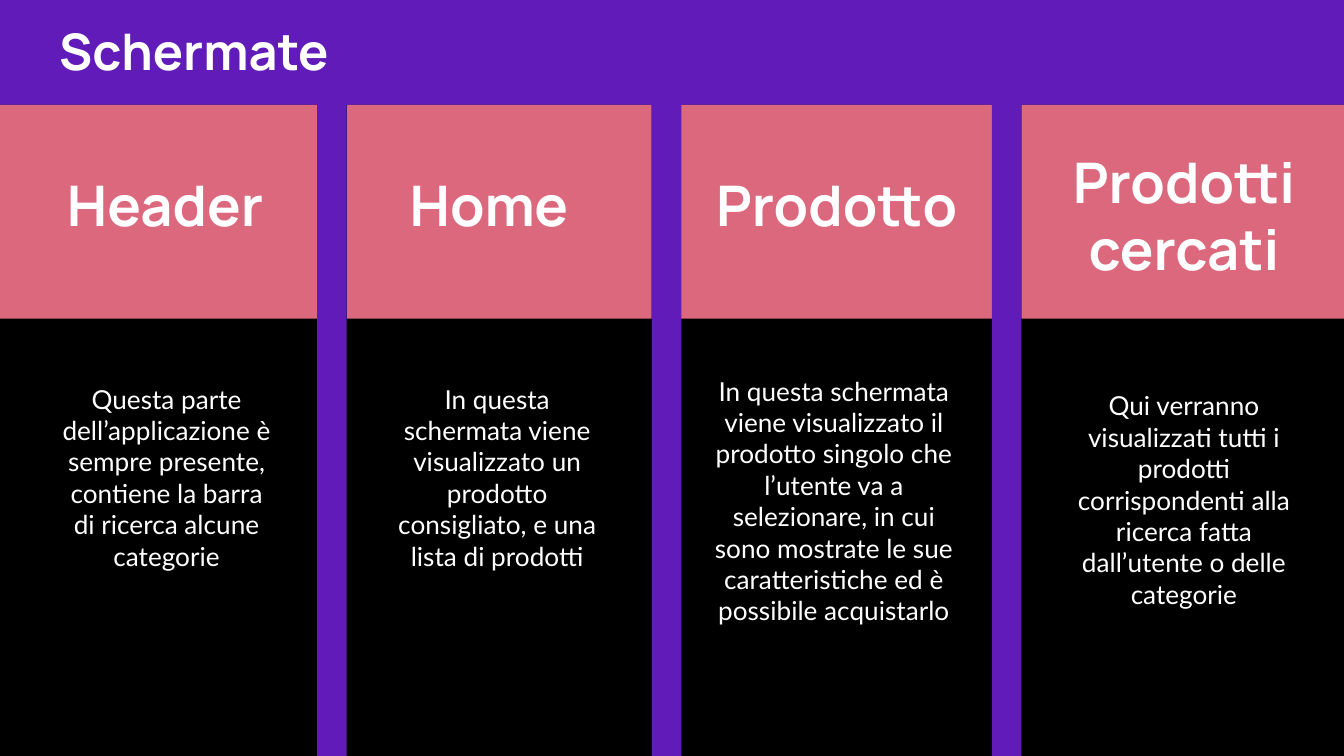
from pptx import Presentation
from pptx.dml.color import RGBColor
from pptx.enum.shapes import MSO_SHAPE as Shape
from pptx.enum.text import MSO_ANCHOR as Anchor, MSO_AUTO_SIZE as AutoSize, PP_ALIGN as Align
from pptx.util import Pt

PURPLE, PINK, BLACK, WHITE = "611BB8", "DC687D", "000000", "FFFFFF"
WIDTH, HEIGHT = 720, 405
BAND_TOP, BAND_HEIGHT = 56.2, 114.5
DIVIDER_TOP, DIVIDER_WIDTH = 45, 15.8
DIVIDERS = (169.9, 349.2, 531.4)
TITLE = {"name": "Manrope", "size": Pt(27), "bold": True}
HEADING = {"name": "Manrope", "size": Pt(30), "bold": True}
BODY = {"name": "Lato", "size": Pt(14), "bold": False}

# Each entry: band (left, width), heading, heading box, heading alignment, body, body box
COLUMNS = (
    ((0, 169.9), "Header", (28.8, 84.2, 129.6, 58.3), Align.LEFT,
     "Questa parte dell’applicazione è sempre presente, contiene la barra di ricerca "
     "alcune categorie", (24.5, 198, 129.6, 114.5)),
    ((185.8, 163.4), "Home", (212.4, 84.2, 110.2, 58.3), Align.LEFT,
     "In questa schermata viene visualizzato un prodotto consigliato, e una lista di "
     "prodotti", (201.6, 198, 129.6, 114.5)),
    ((363.6, 169.9), "Prodotto", (376.6, 84.2, 159.1, 58.3), Align.LEFT,
     "In questa schermata viene visualizzato il prodotto singolo che l’utente va a "
     "selezionare, in cui sono mostrate le sue caratteristiche ed è possibile acquistarlo",
     (370.8, 193.7, 151.9, 147.6)),
    ((547.2, 172.8), "Prodotti cercati", (563, 72, 142.6, 98.6), Align.CENTER,
     "Qui verranno visualizzati tutti i prodotti corrispondenti alla ricerca fatta "
     "dall’utente o delle categorie", (569.5, 201.6, 129.6, 131)),
)


def color(value):
    """Return the colour for a hex string."""
    return RGBColor.from_string(value)


def add_block(slide, left, top, width, height, fill):
    """Add a plain filled rectangle."""
    shape = slide.shapes.add_shape(Shape.RECTANGLE, Pt(left), Pt(top), Pt(width), Pt(height))
    shape.shadow.inherit = False
    shape.fill.solid()
    shape.fill.fore_color.rgb = color(fill)
    shape.line.fill.background()


def write_text(shape, text, font, alignment, auto_size=AutoSize.NONE):
    """Fill a text shape with one formatted paragraph."""
    frame = shape.text_frame
    frame.text = text
    settings = {"word_wrap": True, "auto_size": auto_size, "vertical_anchor": Anchor.TOP}
    settings.update({f"margin_{side}": Pt(7.2) for side in ("left", "top", "right", "bottom")})
    for name, value in settings.items():
        setattr(frame, name, value)
    paragraph = frame.paragraphs[0]
    paragraph.alignment = alignment
    run_font = paragraph.runs[0].font
    for name, value in font.items():
        setattr(run_font, name, value)
    run_font.color.rgb = color(WHITE)


def add_title(slide, text, left, top, width, height):
    """Place and format the slide title."""
    title = slide.shapes.title
    bounds = {"left": left, "top": top, "width": width, "height": height}
    for name, value in bounds.items():
        setattr(title, name, Pt(value))
    write_text(title, text, TITLE, Align.LEFT)


def add_text(slide, text, box, font, alignment, auto_size=AutoSize.NONE):
    """Add a text box."""
    shape = slide.shapes.add_textbox(*map(Pt, box))
    write_text(shape, text, font, alignment, auto_size)


def add_column(slide, band, heading, heading_box, alignment, body, body_box):
    """Add a heading band with its heading and description."""
    left, width = band
    add_block(slide, left, BAND_TOP, width, BAND_HEIGHT, PINK)
    add_text(slide, heading, heading_box, HEADING, alignment)
    add_text(slide, body, body_box, BODY, Align.CENTER, AutoSize.SHAPE_TO_FIT_TEXT)


def main():
    """Build and save the presentation."""
    presentation = Presentation()
    presentation.slide_width, presentation.slide_height = Pt(WIDTH), Pt(HEIGHT)
    slide = presentation.slides.add_slide(presentation.slide_layouts[5])
    slide.background.fill.solid()
    slide.background.fill.fore_color.rgb = color(PURPLE)
    add_title(slide, "Schermate", 24.5, 3.6, 671, 49)
    add_block(slide, 0, BAND_TOP, WIDTH, HEIGHT - BAND_TOP, BLACK)
    for column in COLUMNS:
        add_column(slide, *column)
    for left in DIVIDERS:
        add_block(slide, left, DIVIDER_TOP, DIVIDER_WIDTH, HEIGHT - DIVIDER_TOP, PURPLE)
    presentation.save("out.pptx")


if __name__ == "__main__":
    main()
